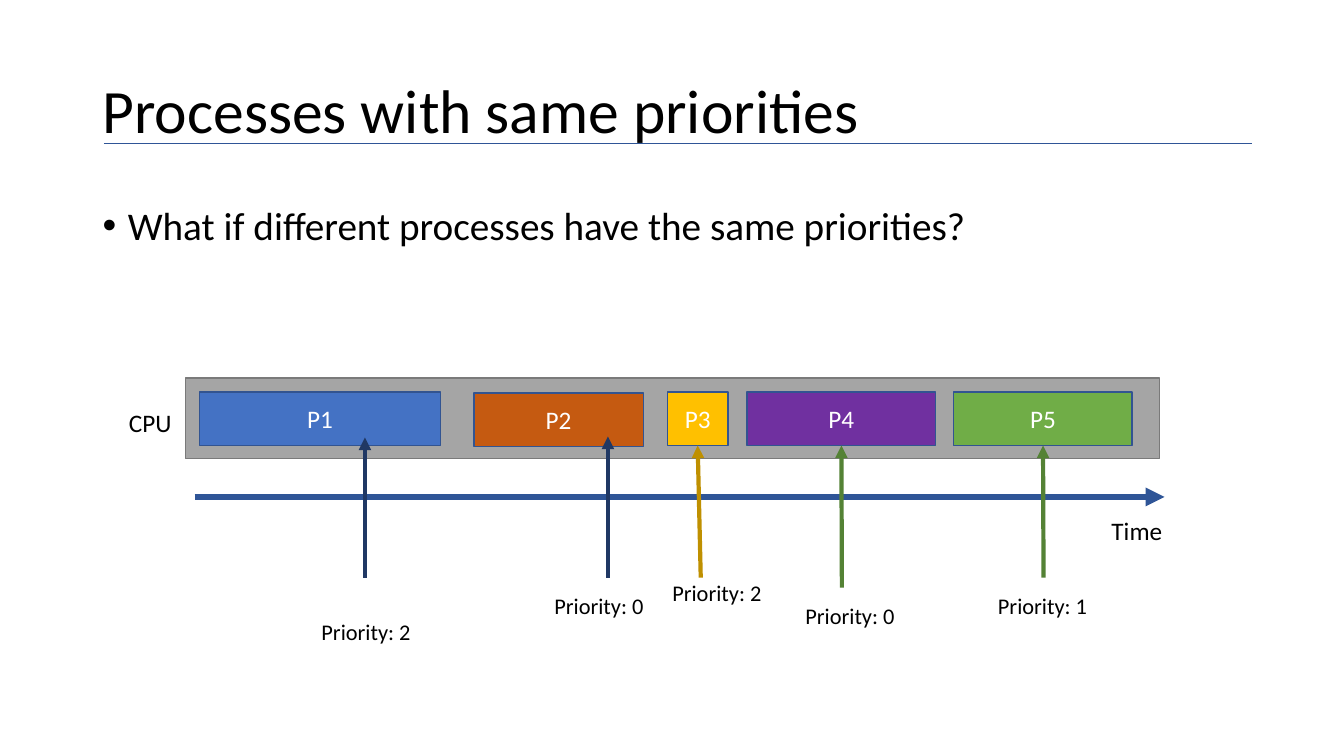
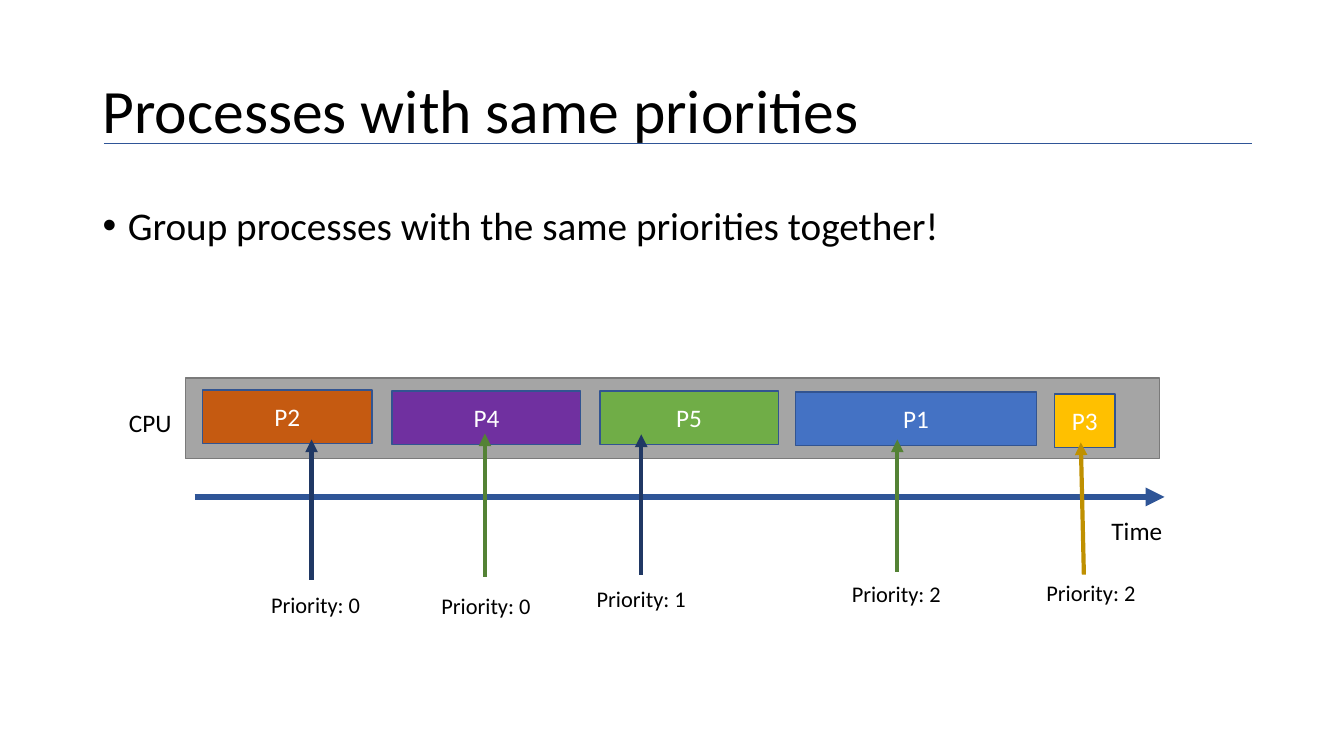
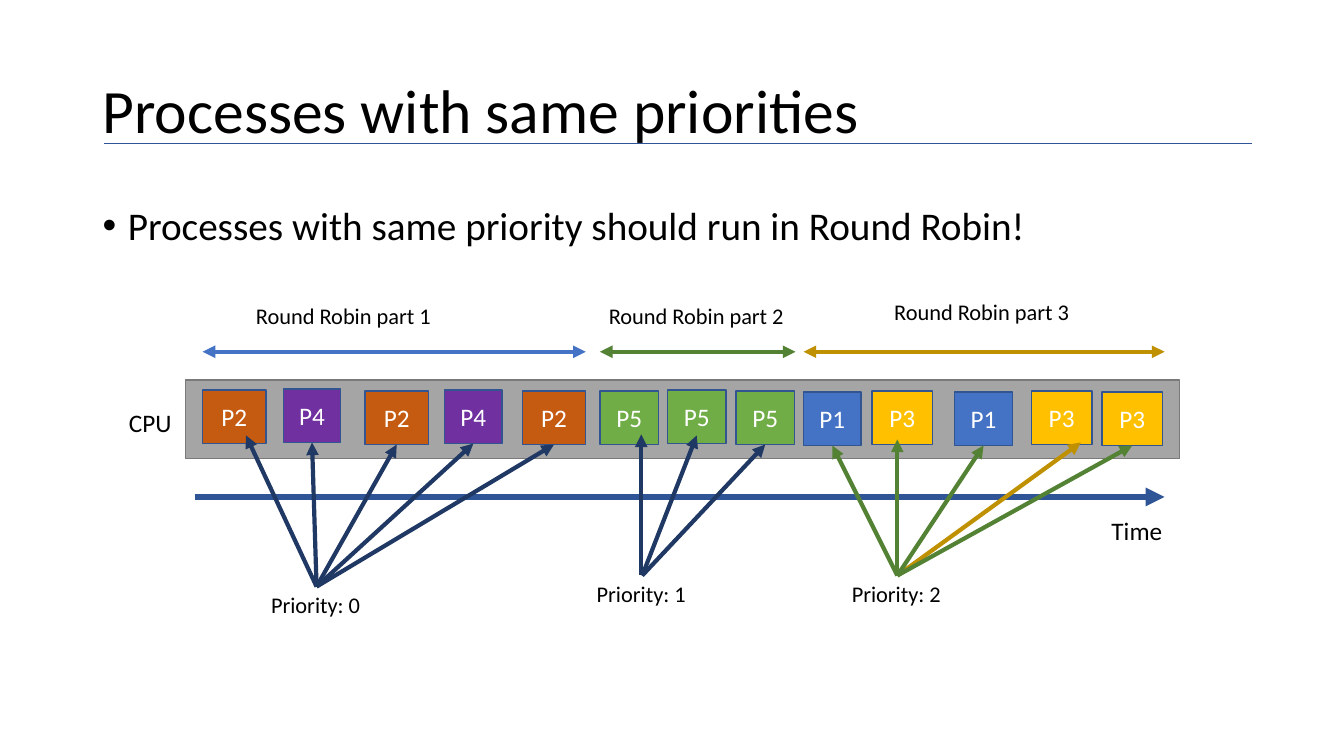
"""Build three slides on scheduling processes that share a priority."""
from dataclasses import dataclass
from typing import Optional

from lxml.etree import SubElement
from pptx import Presentation
from pptx.dml.color import RGBColor
from pptx.enum.shapes import MSO_CONNECTOR, MSO_SHAPE
from pptx.enum.text import MSO_ANCHOR, MSO_AUTO_SIZE, PP_ALIGN
from pptx.oxml.ns import qn
from pptx.shapes.autoshape import Shape
from pptx.shapes.connector import Connector
from pptx.slide import Slide
from pptx.util import Emu, Pt

EMU_PER_PX = 9144
FONT = "Calibri"
TITLE = "Processes with same priorities"
BLACK, WHITE = "000000", "FFFFFF"
NAVY, BLUE, GREEN, GOLD = "203864", "2F5597", "548235", "BF9000"
CPU_FILL, CPU_LINE, PROCESS_LINE = "A5A5A5", "7A7A7A", "325491"
PROCESS_FILLS = {"P1": "4472C4", "P2": "C55A11", "P3": "FFC000", "P4": "7030A0", "P5": "70AD47"}
PROCESS_HEIGHT = 53
SPAN_Y = 349
TOP, BOTTOM = 0, 2

Point = tuple[int, int]
Box = tuple[int, int, int, int]


@dataclass(frozen=True)
class Process:
    name: str
    left: int
    top: int
    width: int


@dataclass(frozen=True)
class Priority:
    level: int
    left: int
    top: int


@dataclass(frozen=True)
class Arrow:
    priority: int
    process: int
    color: str
    start: Optional[Point] = None
    tip: Optional[Point] = None


@dataclass(frozen=True)
class RoundRobin:
    left: int
    right: int
    color: str
    label_left: int
    label_top: int


@dataclass(frozen=True)
class Schedule:
    message: str
    cpu: Box
    processes: list[Process]
    priorities: list[Priority]
    arrows: list[Arrow]
    rounds: tuple[RoundRobin, ...] = ()


SCHEDULES = [
    Schedule(
        "What if different processes have the same priorities?",
        (184, 375, 966, 80),
        [Process("P1", 198, 389, 239), Process("P2", 470, 390, 168), Process("P3", 662, 389, 60),
         Process("P4", 741, 389, 187), Process("P5", 946, 389, 177)],
        [Priority(2, 309, 608), Priority(0, 540, 583), Priority(2, 657, 570),
         Priority(0, 789, 592), Priority(1, 980, 583)],
        [Arrow(0, 0, NAVY, (362, 573), (362, 434)), Arrow(1, 1, NAVY, (603, 573), (603, 433)),
         Arrow(2, 2, GOLD, (695, 573)), Arrow(3, 3, GREEN, (835, 583)),
         Arrow(4, 4, GREEN, (1035, 573))],
    ),
    Schedule(
        "Group processes with the same priorities together!",
        (184, 375, 966, 80),
        [Process("P2", 201, 387, 168), Process("P4", 389, 388, 187), Process("P5", 595, 388, 177),
         Process("P1", 789, 389, 239), Process("P3", 1046, 391, 60)],
        [Priority(0, 259, 582), Priority(0, 428, 583), Priority(1, 582, 576),
         Priority(2, 835, 571), Priority(2, 1028, 570)],
        [Arrow(0, 0, NAVY, (309, 575), (309, 436)), Arrow(1, 1, GREEN, (481, 572), (481, 430)),
         Arrow(2, 2, NAVY, (636, 570), (636, 431)), Arrow(3, 3, GREEN, (890, 567), (890, 436)),
         Arrow(4, 4, GOLD, (1075, 570), (1072, 439))],
    ),
    Schedule(
        "Processes with same priority should run in Round Robin!",
        (184, 377, 986, 78),
        [Process("P2", 201, 387, 63), Process("P4", 281, 386, 57), Process("P2", 362, 388, 63),
         Process("P4", 441, 387, 57), Process("P2", 518, 388, 63), Process("P5", 595, 388, 58),
         Process("P5", 662, 387, 58), Process("P5", 730, 388, 58), Process("P1", 797, 389, 57),
         Process("P3", 865, 388, 60), Process("P1", 947, 389, 57), Process("P3", 1023, 388, 60),
         Process("P3", 1093, 389, 60)],
        [Priority(0, 259, 582), Priority(1, 582, 571), Priority(2, 835, 571)],
        [Arrow(0, 0, NAVY, tip=(244, 432)),
         *(Arrow(0, process, NAVY) for process in range(1, 5)),
         Arrow(1, 5, NAVY, (636, 570), (636, 431)), Arrow(1, 6, NAVY, tip=(691, 432)),
         Arrow(1, 7, NAVY), Arrow(2, 11, GOLD, tip=(1072, 439)),
         Arrow(2, 9, GREEN, (890, 567), (890, 436)),
         *(Arrow(2, process, GREEN) for process in (8, 10, 12))],
        (RoundRobin(201, 581, "4472C4", 244, 295), RoundRobin(595, 789, GREEN, 594, 295),
         RoundRobin(797, 1155, GOLD, 877, 291)),
    ),
]


def px(length: int) -> Emu:
    """Turn px into EMU."""
    return Emu(length * EMU_PER_PX)


def rgb(color: str) -> RGBColor:
    """Turn a hex string into a colour."""
    return RGBColor.from_string(color)


def write(shape: Shape, text: str, *, size: int = 18, color: str = BLACK,
          align: PP_ALIGN = PP_ALIGN.LEFT, anchor: MSO_ANCHOR = MSO_ANCHOR.TOP,
          wrap: bool = True, grow: bool = False, spacing: float = 1.0,
          before: int = 0, bullet: bool = False) -> None:
    """Put one formatted paragraph into a shape."""
    frame = shape.text_frame
    frame.word_wrap = wrap
    frame.auto_size = MSO_AUTO_SIZE.SHAPE_TO_FIT_TEXT if grow else MSO_AUTO_SIZE.NONE
    frame.vertical_anchor = anchor
    paragraph = frame.paragraphs[0]
    paragraph.alignment = align
    paragraph.line_spacing = spacing
    paragraph.space_before = Pt(before)
    run = paragraph.add_run()
    run.text = text
    run.font.name = FONT
    run.font.size = Pt(size)
    run.font.color.rgb = rgb(color)
    if bullet:
        properties = paragraph._p.get_or_add_pPr()
        properties.set("marL", str(px(25)))
        properties.set("indent", str(px(-25)))
        SubElement(properties, qn("a:buFont"), typeface="Arial")
        SubElement(properties, qn("a:buChar"), char="•")


def add_text(slide: Slide, box: Box, text: str, **style) -> Shape:
    """Add a text box."""
    shape = slide.shapes.add_textbox(*map(px, box))
    write(shape, text, **style)
    return shape


def add_rectangle(slide: Slide, box: Box, fill: str, outline: str) -> Shape:
    """Add a flat outlined rectangle."""
    shape = slide.shapes.add_shape(MSO_SHAPE.RECTANGLE, *map(px, box))
    shape.shadow.inherit = False
    shape.fill.solid()
    shape.fill.fore_color.rgb = rgb(fill)
    shape.line.color.rgb = rgb(outline)
    shape.line.width = Pt(1)
    return shape


def add_line(slide: Slide, start: Point, end: Point, color: str, width: float,
             ends: tuple[str, ...] = ()) -> Connector:
    """Add a straight line with arrowheads at the named ends."""
    line = slide.shapes.add_connector(MSO_CONNECTOR.STRAIGHT, *map(px, start + end))
    line.line.color.rgb = rgb(color)
    line.line.width = Pt(width)
    properties = line.element.spPr
    for end_name in ends:
        SubElement(properties.find(qn("a:ln")), qn(f"a:{end_name}"), type="triangle")
    SubElement(properties, qn("a:effectLst"))
    return line


def add_process(slide: Slide, process: Process) -> Shape:
    """Add the block of one process."""
    box = (process.left, process.top, process.width, PROCESS_HEIGHT)
    shape = add_rectangle(slide, box, PROCESS_FILLS[process.name], PROCESS_LINE)
    write(shape, process.name, color=WHITE, align=PP_ALIGN.CENTER, anchor=MSO_ANCHOR.MIDDLE)
    return shape


def add_priority(slide: Slide, priority: Priority) -> Shape:
    """Add the label of one priority."""
    return add_text(slide, (priority.left, priority.top, 110, 37),
                    f"Priority: {priority.level}", size=16, wrap=False, grow=True)


def add_arrow(slide: Slide, arrow: Arrow, label: Shape, block: Shape) -> None:
    """Add an arrow, joined to its label and block where no point is given."""
    line = add_line(slide, arrow.start or (0, 0), arrow.tip or (0, 0), arrow.color, 3, ("tailEnd",))
    if arrow.start is None:
        line.begin_connect(label, TOP)
    if arrow.tip is None:
        line.end_connect(block, BOTTOM)


def add_frame(slide: Slide, schedule: Schedule) -> None:
    """Add the title, message, processor band and time axis."""
    add_text(slide, (92, 200, 1150, 476), schedule.message,
             size=28, spacing=0.9, before=10, bullet=True)
    add_text(slide, (92, 40, 1150, 145), TITLE,
             size=44, spacing=0.9, anchor=MSO_ANCHOR.MIDDLE)
    add_line(slide, (103, 142), (1242, 142), BLUE, 0.5)
    add_rectangle(slide, schedule.cpu, CPU_FILL, CPU_LINE)
    add_text(slide, (118, 399, 66, 40), "CPU", grow=True)
    add_line(slide, (193, 493), (1155, 493), BLUE, 4.5, ("tailEnd",))
    add_text(slide, (1030, 506, 195, 40), "Time", align=PP_ALIGN.CENTER, grow=True)


def add_schedule(slide: Slide, schedule: Schedule) -> None:
    """Draw one schedule on a slide."""
    add_frame(slide, schedule)
    blocks = [add_process(slide, process) for process in schedule.processes]
    labels = [add_priority(slide, priority) for priority in schedule.priorities]
    for arrow in schedule.arrows:
        add_arrow(slide, arrow, labels[arrow.priority], blocks[arrow.process])
    for number, span in enumerate(schedule.rounds, start=1):
        add_line(slide, (span.left, SPAN_Y), (span.right, SPAN_Y), span.color, 3,
                 ("headEnd", "tailEnd"))
        add_text(slide, (span.label_left, span.label_top, 197, 37),
                 f"Round Robin part {number}", size=16, grow=True)


def main() -> None:
    """Build and save the presentation."""
    presentation = Presentation()
    presentation.slide_width = px(1333)
    presentation.slide_height = px(750)
    blank = presentation.slide_layouts[6]
    for schedule in SCHEDULES:
        add_schedule(presentation.slides.add_slide(blank), schedule)
    presentation.save("out.pptx")


if __name__ == "__main__":
    main()
